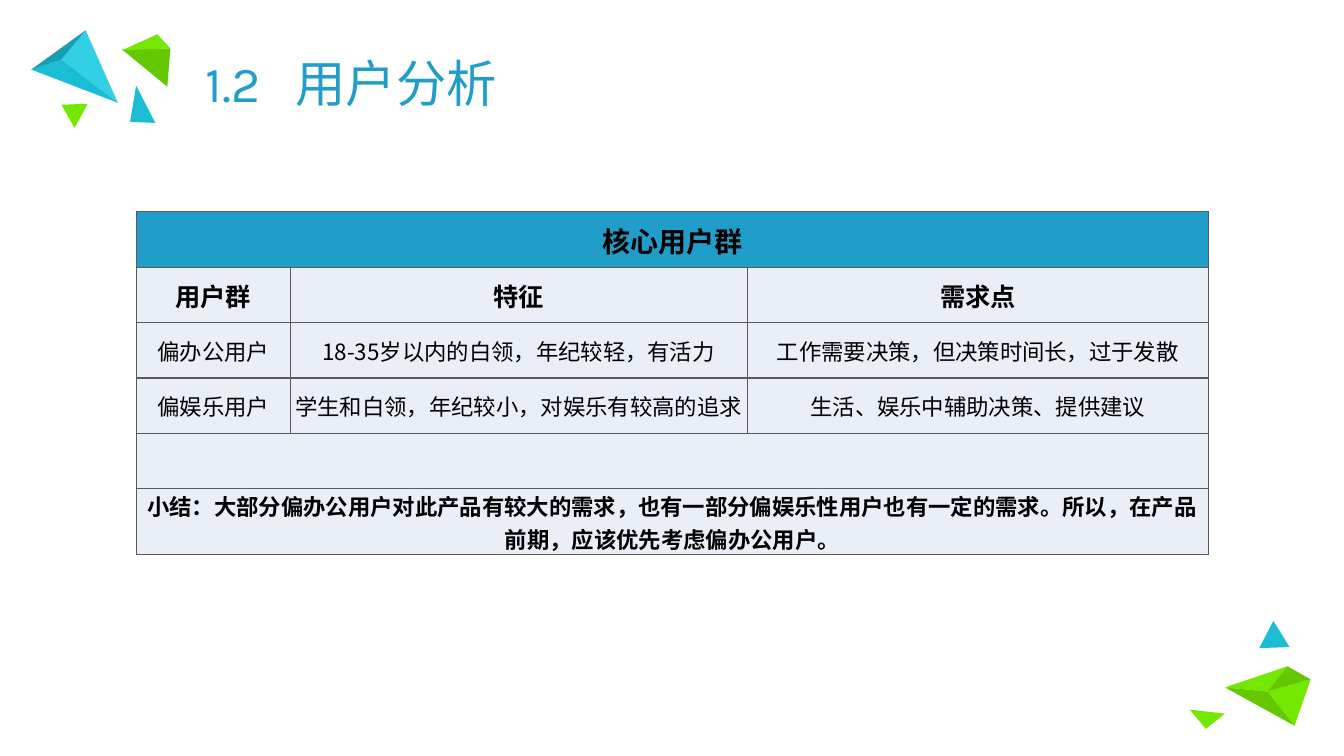
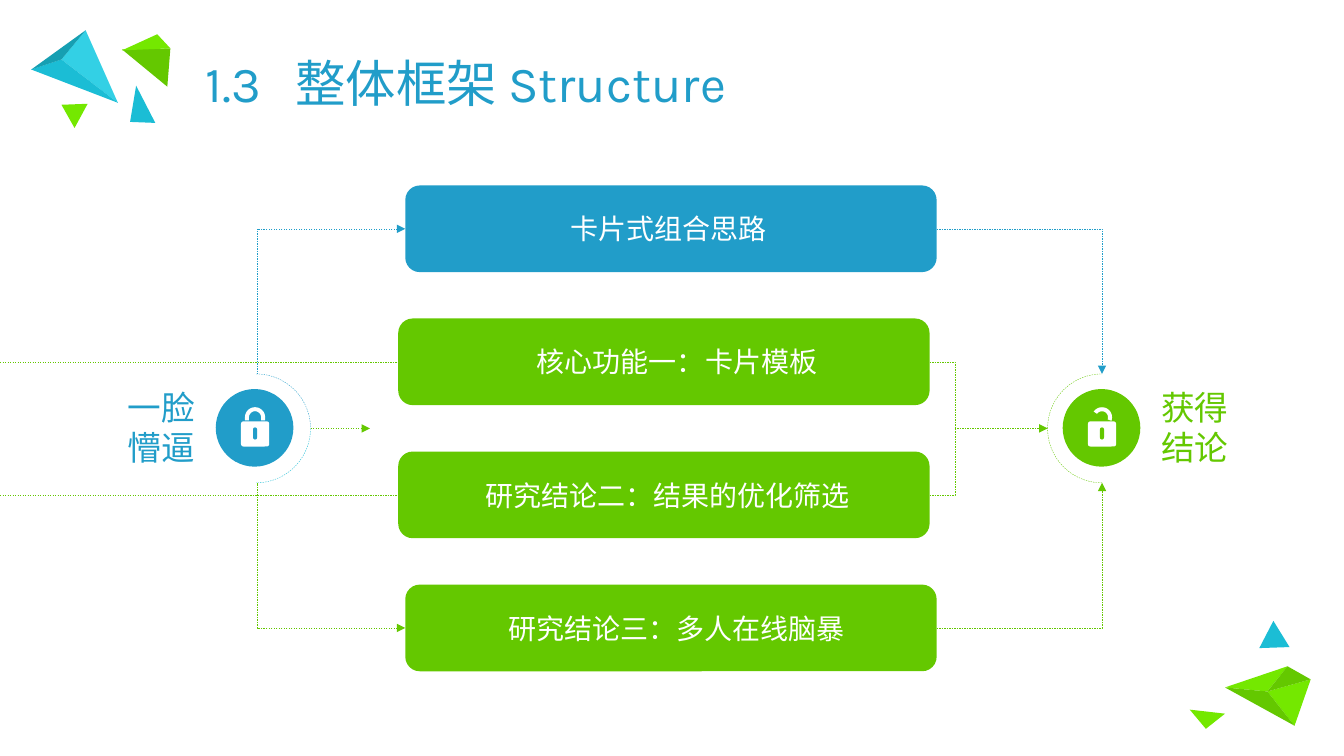
from math import cos, radians, sin

from pptx import Presentation, util as u
from pptx.dml.color import RGBColor
from pptx.enum import dml, shapes, text
from pptx.oxml import parse_xml
from pptx.oxml.ns import nsdecls, qn

BLUE, GREEN, WHITE, BLACK = "219DC9", "64C800", "FFFFFF", "000000"
CYAN, LIME, PALE, GREY = "1BBDD5", "74E800", "EAEFF7", "595959"
LATIN, HAN = "Karla", "Noto Sans CJK SC"
MID = text.PP_ALIGN.CENTER
KIND = shapes.MSO_SHAPE
DECOR = [
    ("33D0E5", [(1.17, 1.02), (0.85, 0.3), (0.61, 0.59)]),
    (CYAN, [(1.17, 1.02), (0.31, 0.69), (0.61, 0.59)]),
    ("169FB2", [(0.85, 0.3), (0.31, 0.69), (0.61, 0.59)]),
    (CYAN, [(12.79, 6.42), (12.49, 6.43), (12.63, 6.16)]),
    (LIME, [(0.87, 1.03), (0.74, 1.27), (0.61, 1.04)]),
    (LIME, [(12.15, 7.08), (11.96, 7.23), (11.8, 7.04)]),
    (LIME, [(12.84, 7.2), (12.57, 6.86), (13, 6.74)]),
    (LIME, [(12.57, 6.86), (12.15, 6.82), (12.77, 6.61)]),
    (GREEN, [(12.77, 6.61), (13, 6.74), (12.57, 6.86)]),
    (GREEN, [(12.84, 7.2), (12.15, 6.82), (12.57, 6.86)]),
    (GREEN, [(1.66, 0.86), (1.21, 0.49), (1.69, 0.48)]),
    (LIME, [(1.21, 0.5), (1.56, 0.34), (1.69, 0.48)]),
    (CYAN, [(1.54, 1.22), (1.29, 1.21), (1.35, 0.85)]),
]
GROUPS = [
    ("用户群", "特征", "需求点"),
    ("偏办公用户", "18-35岁以内的白领，年纪较轻，有活力", "工作需要决策，但决策时间长，过于发散"),
    ("偏娱乐用户", "学生和白领，年纪较小，对娱乐有较高的追求", "生活、娱乐中辅助决策、提供建议"),
]
SUMMARY = ("小结：大部分偏办公用户对此产品有较大的需求，也有一部分偏娱乐性用户也有一定的需求。"
           "所以，在产品前期，应该优先考虑偏办公用户。")
STEPS = [
    (4.02, BLUE, 0.05, "卡片式组合思路"),
    (3.95, GREEN, 0.36, "核心功能一：卡片模板"),
    (3.95, GREEN, 0.17, "研究结论二：结果的优化筛选"),
    (4.02, GREEN, 0.21, "研究结论三：多人在线脑暴"),
]


def rgb(code):
    """Turn a hex string into a colour."""
    return RGBColor.from_string(code)


def inch(*nums):
    """Turn numbers into lengths."""
    return [u.Inches(n) for n in nums]


def put(thing, form):
    """Set attributes from a dict."""
    for key, val in form.items():
        setattr(thing, key, val)


def write(frame, words, size, color, face=LATIN, bold=False, align=None):
    """Write one paragraph into a text frame."""
    para = frame.paragraphs[0]
    para.alignment = align
    run = para.add_run()
    run.text = words
    put(run.font, {"size": u.Pt(size), "name": face, "bold": bold})
    run.font.color.rgb = rgb(color)
    run.font._element.append(parse_xml(f'<a:ea {nsdecls("a")} typeface="{HAN}"/>'))
    return para


def paint(shape, color):
    """Give a shape a plain fill without line or shadow."""
    shape.shadow.inherit = False
    shape.fill.solid()
    shape.fill.fore_color.rgb = rgb(color)
    shape.line.fill.background()
    return shape


def poly(slide, pts, color):
    """Draw a filled polygon."""
    pts = [inch(*pt) for pt in pts]
    form = slide.shapes.build_freeform(*pts[0])
    form.add_line_segments(pts[1:], close=True)
    return paint(form.convert_to_shape(), color)


def solid(slide, kind, box, color):
    """Draw a filled preset shape."""
    return paint(slide.shapes.add_shape(kind, *inch(*box)), color)


def dash(line, color):
    """Make a line thin and dashed."""
    line.color.rgb = rgb(color)
    put(line, {"width": u.Pt(0.25), "dash_style": dml.MSO_LINE.DASH})


def decor(slide, layout):
    """Build the corner triangles and move them to the layout."""
    for num, (color, pts) in enumerate(DECOR, 20):
        item = poly(slide, pts, color).element
        item.nvSpPr.cNvPr.set("id", str(num))
        layout.shapes.element.append(item)


def title(slide, num, words):
    """Place and fill the title."""
    head = slide.shapes.title
    put(head, dict(zip(("left", "top", "width", "height"), inch(1.94, 0.39, 9.46, 0.93))))
    head.text_frame.vertical_anchor = text.MSO_ANCHOR.MIDDLE
    props = head.text_frame.paragraphs[0]._p.get_or_add_pPr()
    props.append(parse_xml(f'<a:tabLst {nsdecls("a")}><a:tab pos="{u.Inches(0.89)}" algn="l"/></a:tabLst>'))
    para = write(head.text_frame, f"{num}\t{words}", 36, BLUE, align=text.PP_ALIGN.LEFT)
    para.line_spacing = 0.9


def cell(box, words, size, bold, color=PALE):
    """Fill and frame one table cell."""
    put(box, dict(zip(("margin_left", "margin_right", "margin_top", "margin_bottom"),
                      inch(0.01, 0.01, 0.01, 0))))
    box.vertical_anchor = text.MSO_ANCHOR.MIDDLE
    box.fill.solid()
    box.fill.fore_color.rgb = rgb(color)
    for spot, side in enumerate("LRTB"):
        box._tc.tcPr.insert(spot, parse_xml(
            f'<a:ln{side} {nsdecls("a")} w="12700"><a:solidFill><a:srgbClr val="{GREY}"/>'
            f'</a:solidFill></a:ln{side}>'))
    if words:
        write(box.text_frame, words, size, BLACK, HAN, bold, MID)


def users(slide):
    """Build the table of user groups."""
    table = slide.shapes.add_table(6, 3, *inch(1.35, 2.1, 10.64, 3.3)).table
    put(table, {"first_row": False, "horz_banding": False})
    for col, wide in zip(table.columns, inch(1.53, 4.53, 4.58)):
        col.width = wide
    wide_rows = {0: ("核心用户群", 20, BLUE), 4: ("", 16, PALE), 5: (SUMMARY, 16, PALE)}
    for row in range(6):
        if row in wide_rows:
            words, size, color = wide_rows[row]
            table.cell(row, 0).merge(table.cell(row, 2))
            for col in range(3):
                cell(table.cell(row, col), "" if col else words, size, True, color)
        else:
            for col, words in enumerate(GROUPS[row - 1]):
                cell(table.cell(row, col), words, 18 if row == 1 else 16, row == 1)


def link(slide, ends, color, tip=None, bent=False):
    """Draw a dashed connector, with a tip at its head or tail."""
    kind = shapes.MSO_CONNECTOR.ELBOW if bent else shapes.MSO_CONNECTOR.STRAIGHT
    wire = slide.shapes.add_connector(kind, *inch(*ends))
    dash(wire.line, color)
    props = wire.element.spPr
    if bent:
        props.find(qn("a:prstGeom")).set("prst", "bentConnector2")
    if tip:
        props.find(qn("a:ln")).append(parse_xml(f'<a:{tip}End {nsdecls("a")} type="triangle"/>'))
    props.append(parse_xml(f'<a:effectLst {nsdecls("a")}/>'))
    return wire


def arc(slide, left, start, color):
    """Draw a dashed quarter circle from a start angle."""
    ring = slide.shapes.add_shape(KIND.ARC, *inch(left, 3.71, 1.08, 1.08))
    ring.shadow.inherit = False
    ring.fill.background()
    dash(ring.line, color)
    for spot, angle in enumerate((start, (start + 90) % 360)):
        ring.adjustments[spot] = angle * 0.6


def lock(slide, mid, color, start, stop, leg):
    """Draw a padlock on a disc."""
    solid(slide, KIND.OVAL, (mid - 0.39, 3.86, 0.77, 0.77), color)
    body = solid(slide, KIND.ROUNDED_RECTANGLE, (mid - 0.14, 4.18, 0.28, 0.25), WHITE)
    body.adjustments[0] = 0.1
    hole = solid(slide, KIND.ROUNDED_RECTANGLE, (mid - 0.02, 4.24, 0.04, 0.12), color)
    hole.adjustments[0] = 0.5
    turns = [radians(start + (stop - start) * n / 24) for n in range(25)]
    outer, inner = ([(mid + r * cos(t), 4.14 + r * sin(t)) for t in turns] for r in (0.1, 0.06))
    feet = [(x, y + leg) for x, y in (outer[-1], inner[-1], inner[0], outer[0])]
    poly(slide, outer + feet[:2] + inner[::-1] + feet[2:], WHITE)


def label(slide, left, words, color, align):
    """Write a two-line label beside a padlock."""
    frame = slide.shapes.add_textbox(*inch(left, 3.79, 0.88, 0.91)).text_frame
    frame.word_wrap = True
    write(frame, words, 24, color, align=align)


def step(slide, top, left, color, inset, words):
    """Draw one step bar with its text."""
    bar = solid(slide, KIND.ROUNDED_RECTANGLE, (left, top, 5.27, 0.86), color)
    put(bar.text_frame, {"margin_left": u.Inches(inset), "word_wrap": True,
                         "vertical_anchor": text.MSO_ANCHOR.MIDDLE})
    write(bar.text_frame, words, 20, WHITE, align=MID)
    return bar


def frame(slide):
    """Build the diagram from problem to result."""
    for left, start, color in ((2, 270, BLUE), (2, 0, CYAN), (10.39, 90, GREEN), (10.39, 180, GREEN)):
        arc(slide, left, start, color)
    lock(slide, 2.53, BLUE, 180, 360, 0.03)
    lock(slide, 10.93, GREEN, 215, 380, 0)
    label(slide, 1.16, "一脸懵逼", BLUE, MID)
    label(slide, 11.42, "获得结论", GREEN, text.PP_ALIGN.LEFT)
    bars = [step(slide, 1.84 + 1.32 * n, *data) for n, data in enumerate(STEPS)]
    for bar, y, edge, color in ((bars[0], 2.27, 3.71, BLUE), (bars[3], 6.23, 4.79, GREEN)):
        link(slide, (4.02, y, 2.55, edge), color, "head", True)
        link(slide, (9.29, y, 10.93, edge), color, "tail", True)
    for bar, y in zip(bars[1:3], (3.59, 4.91)):
        link(slide, (9.22, y, 9.47, 4.25), GREEN, bent=True)
        link(slide, (0, y, 3.95, y), GREEN).end_connect(bar, 1)
    for start, stop in ((9.47, 10.39), (3.08, 3.67)):
        link(slide, (start, 4.25, stop, 4.25), GREEN, "tail")


def main():
    """Build and save the deck."""
    deck = Presentation()
    put(deck, {"slide_width": u.Inches(13.33), "slide_height": u.Inches(7.5)})
    layout = deck.slide_layouts[5]
    pages = [("1.2", "用户分析", users), ("1.3", "整体框架 Structure", frame)]
    for num, words, build in pages:
        slide = deck.slides.add_slide(layout)
        title(slide, num, words)
        build(slide)
    decor(slide, layout)
    deck.save("out.pptx")


if __name__ == "__main__":
    main()
